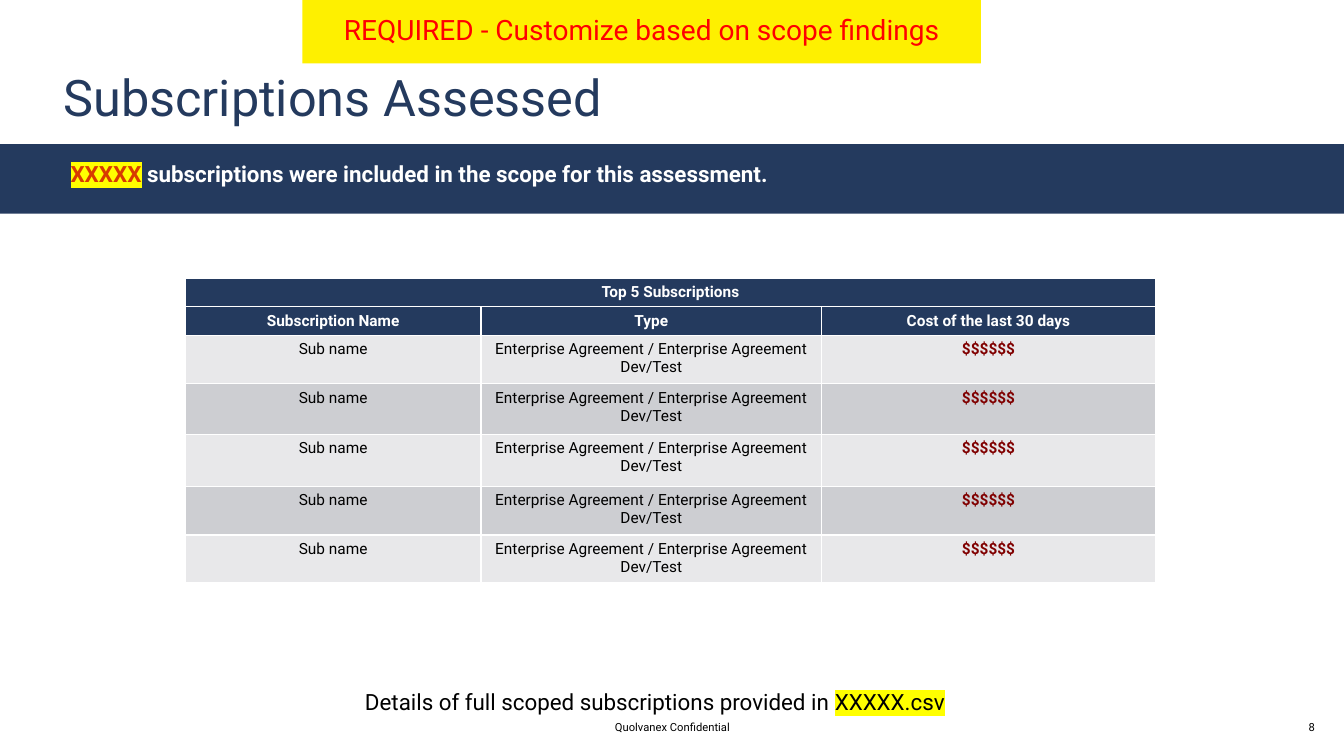
from dataclasses import dataclass

from lxml.etree import SubElement
from pptx import Presentation
from pptx.dml.color import RGBColor
from pptx.enum.shapes import MSO_SHAPE
from pptx.enum.text import MSO_ANCHOR, PP_ALIGN
from pptx.oxml.ns import qn
from pptx.oxml.xmlchemy import OxmlElement
from pptx.util import Inches, Pt


@dataclass(frozen=True)
class Theme:
    font: str = "Roboto"
    navy: str = "243A5E"
    white: str = "FFFFFF"
    black: str = "000000"
    orange: str = "D83B01"
    red: str = "FF0000"
    maroon: str = "800000"
    banner: str = "FEF000"
    marker: str = "FFFF00"
    bands: tuple = ("E8E8EA", "CDCED2")
    title_size: int = 36
    banner_size: int = 20
    body_size: int = 16
    table_size: int = 11
    footer_size: int = 8


THEME = Theme()
COLUMN_WIDTHS = (2.93, 3.38, 3.31)
ROW_HEIGHTS = (0.28, 0.28, 0.48, 0.5, 0.52, 0.48, 0.47)
HEADINGS = ("Subscription Name", "Type", "Cost of the last 30 days")
SUBSCRIPTION = ("Sub name", "Enterprise Agreement / Enterprise Agreement Dev/Test", "$$$$$$")


def add_span(para, text, size, color, bold=False, marker=None):
    span = para.add_run()
    span.text = text
    font = span.font
    font.name, font.size, font.bold = THEME.font, Pt(size), bold
    font.color.rgb = RGBColor.from_string(color)
    if marker:
        highlight = OxmlElement("a:highlight")
        SubElement(highlight, qn("a:srgbClr")).set("val", marker)
        span.font._element.find(qn("a:solidFill")).addnext(highlight)


def prepare_frame(frame, inset_x, inset_y, align, anchor):
    """Set insets and alignment, and return the first paragraph."""
    frame.word_wrap = True
    frame.margin_left = frame.margin_right = Inches(inset_x)
    frame.margin_top = frame.margin_bottom = Inches(inset_y)
    frame.vertical_anchor = anchor
    para = frame.paragraphs[0]
    para.alignment = align
    return para


def add_text(page, left, top, width, height, align=PP_ALIGN.LEFT, anchor=MSO_ANCHOR.TOP):
    box = page.shapes.add_textbox(Inches(left), Inches(top), Inches(width), Inches(height))
    return prepare_frame(box.text_frame, 0, 0, align, anchor)


def add_band(page, left, top, width, height, color, align=PP_ALIGN.LEFT):
    band = page.shapes.add_shape(
        MSO_SHAPE.RECTANGLE, Inches(left), Inches(top), Inches(width), Inches(height))
    band.shadow.inherit = False
    band.fill.solid()
    band.fill.fore_color.rgb = RGBColor.from_string(color)
    band.line.fill.background()
    return prepare_frame(band.text_frame, 0.2, 0.16, align, MSO_ANCHOR.TOP)


def fill_cell(cell, text, fill, color, bold):
    cell.fill.solid()
    cell.fill.fore_color.rgb = RGBColor.from_string(fill)
    # Borders come before the fill in the cell properties
    properties = cell._tc.get_or_add_tcPr()
    for position, side in enumerate(("lnL", "lnR", "lnT", "lnB")):
        border = OxmlElement(f"a:{side}")
        border.set("w", str(Pt(1)))
        paint = SubElement(border, qn("a:solidFill"))
        SubElement(paint, qn("a:srgbClr")).set("val", THEME.white)
        properties.insert(position, border)
    para = cell.text_frame.paragraphs[0]
    para.alignment = PP_ALIGN.CENTER
    if text:
        add_span(para, text, THEME.table_size, color, bold)


def add_subscription_table(page, left, top):
    table = page.shapes.add_table(
        len(ROW_HEIGHTS), len(COLUMN_WIDTHS), Inches(left), Inches(top),
        Inches(sum(COLUMN_WIDTHS)), Inches(sum(ROW_HEIGHTS))).table
    table.first_row = table.horz_banding = False
    for column, width in zip(table.columns, COLUMN_WIDTHS):
        column.width = Inches(width)
    for row, height in zip(table.rows, ROW_HEIGHTS):
        row.height = Inches(height)

    # Two heading rows
    table.cell(0, 0).merge(table.cell(0, 2))
    for row, texts in enumerate((("Top 5 Subscriptions", "", ""), HEADINGS)):
        for column, text in enumerate(texts):
            fill_cell(table.cell(row, column), text, THEME.navy, THEME.white, True)

    # Banded subscription rows, cost in bold
    for row in range(2, len(ROW_HEIGHTS)):
        for column, text in enumerate(SUBSCRIPTION):
            is_cost = column == 2
            color = THEME.maroon if is_cost else THEME.black
            fill_cell(table.cell(row, column), text, THEME.bands[row % 2], color, is_cost)


def main():
    deck = Presentation()
    deck.slide_width, deck.slide_height = Inches(13.33), Inches(7.5)
    page = deck.slides.add_slide(deck.slide_layouts[6])

    # Scope statement
    scope = add_band(page, 0, 1.43, 13.33, 0.69, THEME.navy)
    scope.level = 1
    indent = scope._p.get_or_add_pPr()
    indent.set("marL", str(Inches(0.5)))
    indent.set("indent", "0")
    add_span(scope, "XXXXX", THEME.body_size, THEME.orange, True, THEME.marker)
    add_span(scope, " subscriptions were included in the scope for this assessment.",
             THEME.body_size, THEME.white, True)

    # Title
    title = add_text(page, 0.63, 0.66, 12.05, 0.61)
    add_span(title, "Subscriptions Assessed", THEME.title_size, THEME.navy)

    # Footer and page number
    for text, left, width in (("Quolvanex Confidential", 4.42, 4.5), ("8", 12.79, 0.44)):
        footer = add_text(page, left, 7.15, width, 0.13, PP_ALIGN.CENTER, MSO_ANCHOR.MIDDLE)
        add_span(footer, text, THEME.footer_size, THEME.black)

    add_subscription_table(page, 1.84, 2.76)

    # Reminder banner
    banner = add_band(page, 3, 0, 6.73, 0.63, THEME.banner, PP_ALIGN.CENTER)
    banner.line_spacing = 0.9
    banner.space_after = Pt(6)
    add_span(banner, "REQUIRED - Customize based on scope findings",
             THEME.banner_size, THEME.red)

    # Pointer to the full list
    details = add_text(page, 3.62, 6.83, 9.7, 0.27)
    add_span(details, "Details of full scoped subscriptions provided in ",
             THEME.body_size, THEME.black)
    add_span(details, "XXXXX.csv", THEME.body_size, THEME.black, marker=THEME.marker)

    deck.save("out.pptx")


if __name__ == "__main__":
    main()
